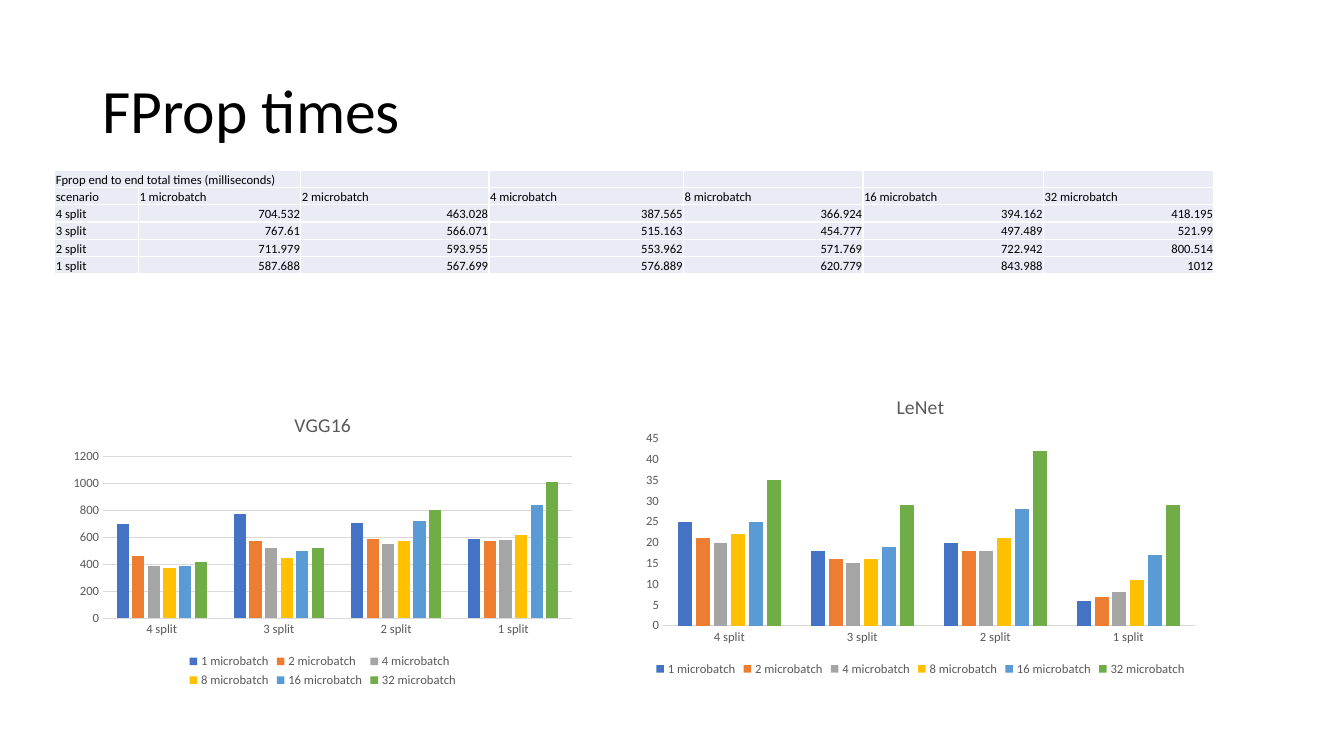
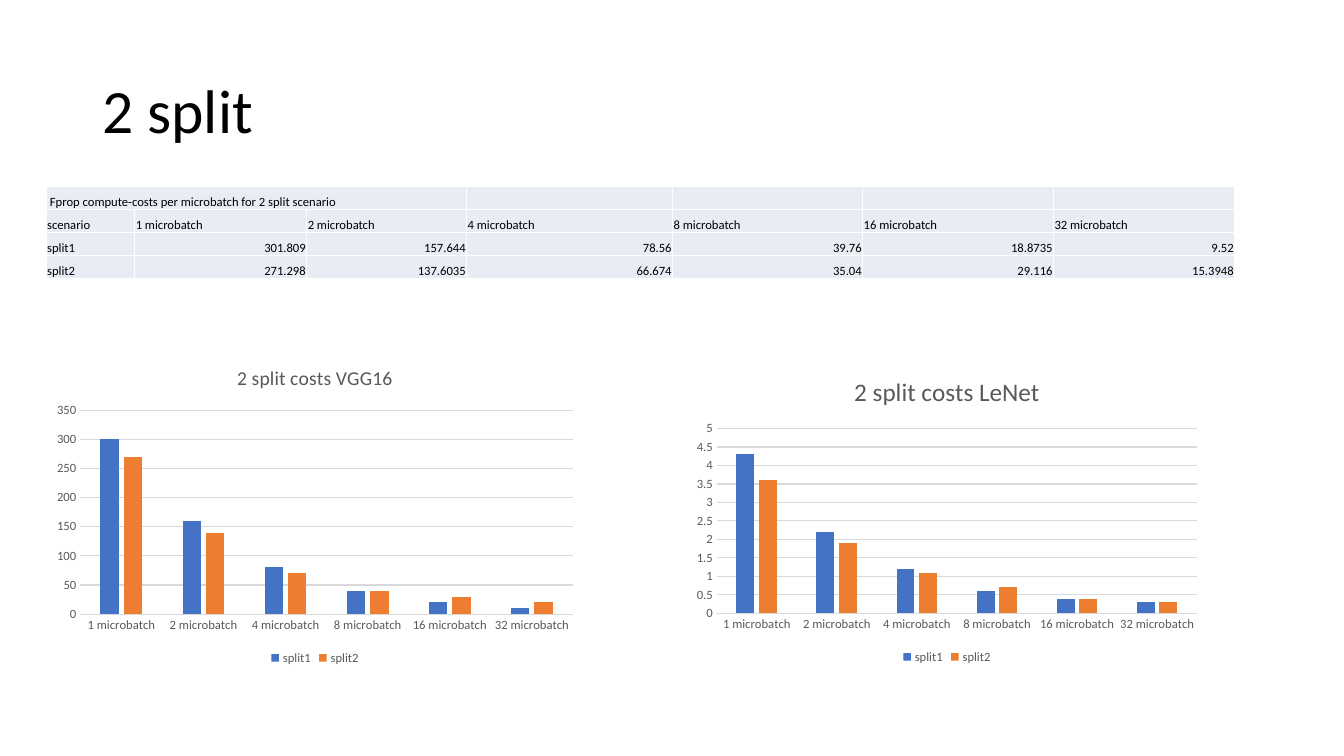
"""Build two slides comparing forward propagation times by split and microbatch."""
from pptx import Presentation
from pptx.chart.data import CategoryChartData
from pptx.dml.color import RGBColor
from pptx.enum.chart import XL_CHART_TYPE, XL_LEGEND_POSITION, XL_TICK_MARK
from pptx.enum.text import MSO_ANCHOR, PP_ALIGN
from pptx.util import Inches, Pt

FONT = "Calibri"
BLACK = RGBColor(0x00, 0x00, 0x00)
GREY = RGBColor(0x59, 0x59, 0x59)
LINE_GREY = RGBColor(0xD9, 0xD9, 0xD9)
CELL_FILL = RGBColor(0xE9, 0xEB, 0xF5)
SERIES_COLORS = [
    RGBColor(0x44, 0x72, 0xC4),
    RGBColor(0xED, 0x7D, 0x31),
    RGBColor(0xA5, 0xA5, 0xA5),
    RGBColor(0xFF, 0xC0, 0x00),
    RGBColor(0x5B, 0x9B, 0xD5),
    RGBColor(0x70, 0xAD, 0x47),
]

presentation = Presentation()
presentation.slide_width = Inches(13.33)
presentation.slide_height = Inches(7.5)
COLUMN = presentation.slide_width / 100
ROW = presentation.slide_height / 100

MICROBATCHES = [f"{count} microbatch" for count in (1, 2, 4, 8, 16, 32)]
SPLITS = ["4 split", "3 split", "2 split", "1 split"]
PARTS = ["split1", "split2"]

VGG16_TIMES = [
    [704.532, 463.028, 387.565, 366.924, 394.162, 418.195],
    [767.61, 566.071, 515.163, 454.777, 497.489, 521.99],
    [711.979, 593.955, 553.962, 571.769, 722.942, 800.514],
    [587.688, 567.699, 576.889, 620.779, 843.988, 1012],
]
LENET_TIMES = [
    [25, 21, 20, 22, 25, 35],
    [18, 16, 15, 16, 19, 29],
    [20, 18, 18, 21, 28, 42],
    [6, 7, 8, 11, 17, 29],
]
VGG16_COSTS = [
    [301.809, 157.644, 78.56, 39.76, 18.8735, 9.52],
    [271.298, 137.6035, 66.674, 35.04, 29.116, 15.3948],
]
LENET_COSTS = [
    [4.3, 2.2, 1.2, 0.6, 0.4, 0.3],
    [3.6, 1.9, 1.1, 0.7, 0.4, 0.3],
]

SLIDES = [
    {
        "title": "FProp times",
        "caption": "Fprop end to end total times (milliseconds)",
        "caption_span": 2,
        "labels": SPLITS,
        "values": VGG16_TIMES,
        "table_corner": (4.08, 22.5),
        "row_height": 2.29,
        "column_widths": [6.23, 12.08, 14, 14.48, 13.35, 13.43, 12.68],
        "categories": SPLITS,
        "series_names": MICROBATCHES,
        "charts": [
            ("LeNet", 14, False, (47.22, 50, 42.53, 40), list(zip(*LENET_TIMES)), 0),
            ("VGG16", 14, True, (4.7, 52.4, 38.63, 39.07), list(zip(*VGG16_TIMES)), -1),
        ],
    },
    {
        "title": "2 split",
        "caption": " Fprop compute-costs per microbatch for 2 split scenario",
        "caption_span": 3,
        "labels": PARTS,
        "values": VGG16_COSTS,
        "table_corner": (3.43, 24.67),
        "row_height": 3.05,
        "column_widths": [6.6, 12.8, 11.9, 15.32, 14.15, 14.2, 13.48],
        "categories": MICROBATCHES,
        "series_names": PARTS,
        "charts": [
            ("2 split costs VGG16", 14, True, (3.45, 46.13, 39.98, 42.4), VGG16_COSTS, -1),
            ("2 split costs LeNet", 18, True, (51.07, 47.33, 38.78, 41.07), LENET_COSTS, 1),
        ],
    },
]


def grid_box(left, top, width, height):
    return int(left * COLUMN), int(top * ROW), int(width * COLUMN), int(height * ROW)


def set_font(font, size, color):
    font.name = FONT
    font.size = Pt(size)
    font.bold = False
    font.color.rgb = color


for content in SLIDES:
    slide = presentation.slides.add_slide(presentation.slide_layouts[6])

    title_frame = slide.shapes.add_textbox(*grid_box(6.88, 5.33, 86.25, 19.33)).text_frame
    title_frame.word_wrap = True
    title_frame.vertical_anchor = MSO_ANCHOR.MIDDLE
    paragraph = title_frame.paragraphs[0]
    paragraph.text = content["title"]
    paragraph.line_spacing = 0.9
    set_font(paragraph.font, 44, BLACK)

    rows = [[content["caption"]] + [""] * len(MICROBATCHES), ["scenario"] + MICROBATCHES]
    rows += [[label] + values for label, values in zip(content["labels"], content["values"])]
    widths = content["column_widths"]
    table_box = grid_box(*content["table_corner"], sum(widths), content["row_height"] * len(rows))
    table = slide.shapes.add_table(len(rows), len(widths), *table_box).table
    table.first_row = False
    table.horz_banding = False
    for column, width in zip(table.columns, widths):
        column.width = int(width * COLUMN)
    for row_index, row in enumerate(rows):
        table.rows[row_index].height = int(content["row_height"] * ROW)
        for column_index, value in enumerate(row):
            cell = table.cell(row_index, column_index)
            cell.margin_left = cell.margin_right = cell.margin_top = Inches(0.01)
            cell.margin_bottom = 0
            cell.vertical_anchor = MSO_ANCHOR.BOTTOM
            cell.fill.solid()
            cell.fill.fore_color.rgb = CELL_FILL
            paragraph = cell.text_frame.paragraphs[0]
            paragraph.text = str(value)
            paragraph.alignment = PP_ALIGN.LEFT if isinstance(value, str) else PP_ALIGN.RIGHT
            set_font(paragraph.font, 9, BLACK)
            if value == "":
                paragraph._p.get_or_add_endParaRPr().set("sz", "900")
    table.cell(0, 0).merge(table.cell(0, content["caption_span"] - 1))

    for chart_title, title_size, has_gridlines, box, series_values, digits in content["charts"]:
        chart_data = CategoryChartData()
        chart_data.categories = content["categories"]
        for name, values in zip(content["series_names"], series_values):
            chart_data.add_series(name, [round(value, digits) for value in values])
        chart = slide.shapes.add_chart(
            XL_CHART_TYPE.COLUMN_CLUSTERED, *grid_box(*box), chart_data
        ).chart
        set_font(chart.font, 10, BLACK)

        chart.has_title = True
        paragraph = chart.chart_title.text_frame.paragraphs[0]
        paragraph.text = chart_title
        set_font(paragraph.font, title_size, GREY)

        chart.has_legend = True
        chart.legend.position = XL_LEGEND_POSITION.BOTTOM
        chart.legend.include_in_layout = False
        set_font(chart.legend.font, 9, GREY)

        for axis in (chart.category_axis, chart.value_axis):
            axis.major_tick_mark = XL_TICK_MARK.NONE
            axis.minor_tick_mark = XL_TICK_MARK.NONE
            set_font(axis.tick_labels.font, 9, GREY)
        axis_line = chart.category_axis.format.line
        axis_line.color.rgb = LINE_GREY
        axis_line.width = Pt(0.75)
        chart.value_axis.format.line.fill.background()
        chart.value_axis.has_major_gridlines = has_gridlines
        if has_gridlines:
            gridline = chart.value_axis.major_gridlines.format.line
            gridline.color.rgb = LINE_GREY
            gridline.width = Pt(0.75)

        plot = chart.plots[0]
        plot.vary_by_categories = False
        plot.gap_width = 219
        plot.overlap = -27
        for series, color in zip(plot.series, SERIES_COLORS):
            series.format.fill.solid()
            series.format.fill.fore_color.rgb = color

presentation.save("out.pptx")
